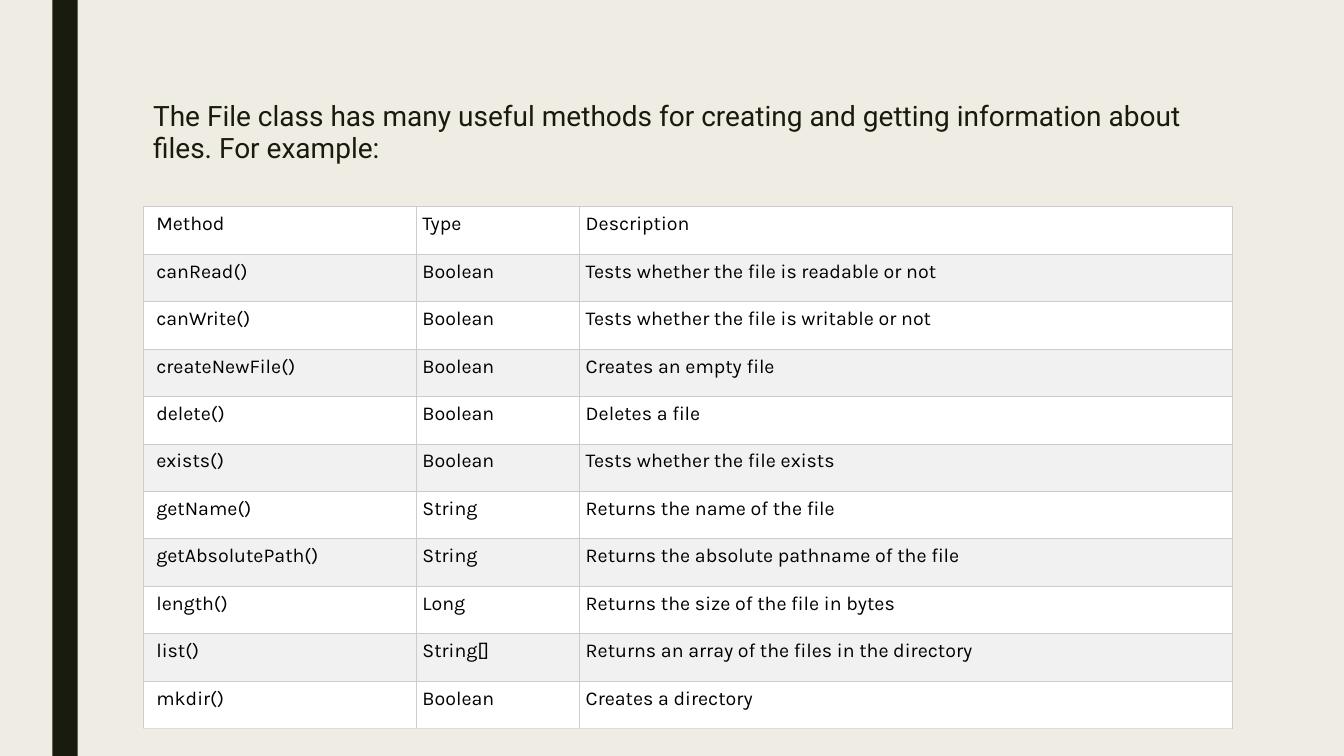
from lxml import etree
from pptx import Presentation
from pptx.dml.color import RGBColor
from pptx.enum.shapes import MSO_SHAPE
from pptx.enum.text import MSO_ANCHOR
from pptx.oxml.ns import qn
from pptx.util import Inches, Pt

RECTANGLE = MSO_SHAPE.RECTANGLE
TOP = MSO_ANCHOR.TOP

# Content
INTRO = ("The File class has many useful methods for creating and getting "
         "information about files. For example:")
METHODS = [
    ("Method", "Type", "Description"),
    ("canRead()", "Boolean", "Tests whether the file is readable or not"),
    ("canWrite()", "Boolean", "Tests whether the file is writable or not"),
    ("createNewFile()", "Boolean", "Creates an empty file"),
    ("delete()", "Boolean", "Deletes a file"),
    ("exists()", "Boolean", "Tests whether the file exists"),
    ("getName()", "String", "Returns the name of the file"),
    ("getAbsolutePath()", "String", "Returns the absolute pathname of the file"),
    ("length()", "Long", "Returns the size of the file in bytes"),
    ("list()", "String[]", "Returns an array of the files in the directory"),
    ("mkdir()", "Boolean", "Creates a directory"),
]

# Look and layout, in inches
PAPER, INK, BLACK = "EFEDE3", "191B0E", "000000"
BANDS = ("FFFFFF", "F1F1F1")
GRID_LINE, BOTTOM_LINE = "CCCCCC", "DDDDDD"
WIDTH, HEIGHT = 13.33, 7.5
LEFT = 1.42
TABLE_TOP, TABLE_HEIGHT = 2.05, 5.18
COLUMNS = (2.71, 1.62, 6.47)
PADDING, FIRST_PADDING = 0.06, 0.13


def color(hex_code):
    return RGBColor.from_string(hex_code)


def style(paragraph, font_name, size, hex_code):
    for run in paragraph.runs:
        run.font.name = font_name
        run.font.size = Pt(size)
        run.font.color.rgb = color(hex_code)


def set_borders(cell, bottom):
    properties = cell._tc.get_or_add_tcPr()
    edges = {"a:lnL": GRID_LINE, "a:lnR": GRID_LINE,
             "a:lnT": GRID_LINE, "a:lnB": bottom}
    # Border lines must come before the cell fill
    for position, (edge, hex_code) in enumerate(edges.items()):
        line = etree.Element(qn(edge), w=str(Pt(0.75)))
        fill = etree.SubElement(line, qn("a:solidFill"))
        etree.SubElement(fill, qn("a:srgbClr"), val=hex_code)
        properties.insert(position, line)


def add_side_bar(slide):
    bar = slide.shapes.add_shape(RECTANGLE, Inches(0.52), 0,
                                 Inches(0.25), Inches(HEIGHT))
    bar.shadow.inherit = False
    bar.fill.solid()
    bar.fill.fore_color.rgb = color(INK)
    bar.line.fill.background()


def add_intro(slide):
    box = slide.shapes.add_textbox(Inches(LEFT), Inches(0.96),
                                   Inches(10.5), Inches(3.92))
    frame = box.text_frame
    frame.word_wrap = True
    frame.text = INTRO
    paragraph = frame.paragraphs[0]
    paragraph.line_spacing = 0.94
    paragraph.space_before = Pt(10)
    paragraph.space_after = Pt(2)
    style(paragraph, "Roboto", 20, INK)


def add_methods(slide):
    table = slide.shapes.add_table(
        len(METHODS), len(COLUMNS), Inches(LEFT), Inches(TABLE_TOP),
        Inches(sum(COLUMNS)), Inches(TABLE_HEIGHT)).table
    for column, width in zip(table.columns, COLUMNS):
        column.width = Inches(width)
    for r, method in enumerate(METHODS):
        table.rows[r].height = Inches(TABLE_HEIGHT / len(METHODS))
        bottom = BOTTOM_LINE if r == len(METHODS) - 1 else GRID_LINE
        for c, words in enumerate(method):
            cell = table.cell(r, c)
            cell.text = words
            cell.vertical_anchor = TOP
            cell.margin_left = Inches(PADDING if c else FIRST_PADDING)
            cell.margin_right = cell.margin_top = cell.margin_bottom = Inches(PADDING)
            cell.fill.solid()
            cell.fill.fore_color.rgb = color(BANDS[r % 2])
            set_borders(cell, bottom)
            style(cell.text_frame.paragraphs[0], "Karla", 14, BLACK)


def main():
    deck = Presentation()
    deck.slide_width, deck.slide_height = Inches(WIDTH), Inches(HEIGHT)
    slide = deck.slides.add_slide(deck.slide_layouts[6])
    slide.background.fill.solid()
    slide.background.fill.fore_color.rgb = color(PAPER)
    add_side_bar(slide)
    add_intro(slide)
    add_methods(slide)
    deck.save("out.pptx")


if __name__ == "__main__":
    main()
